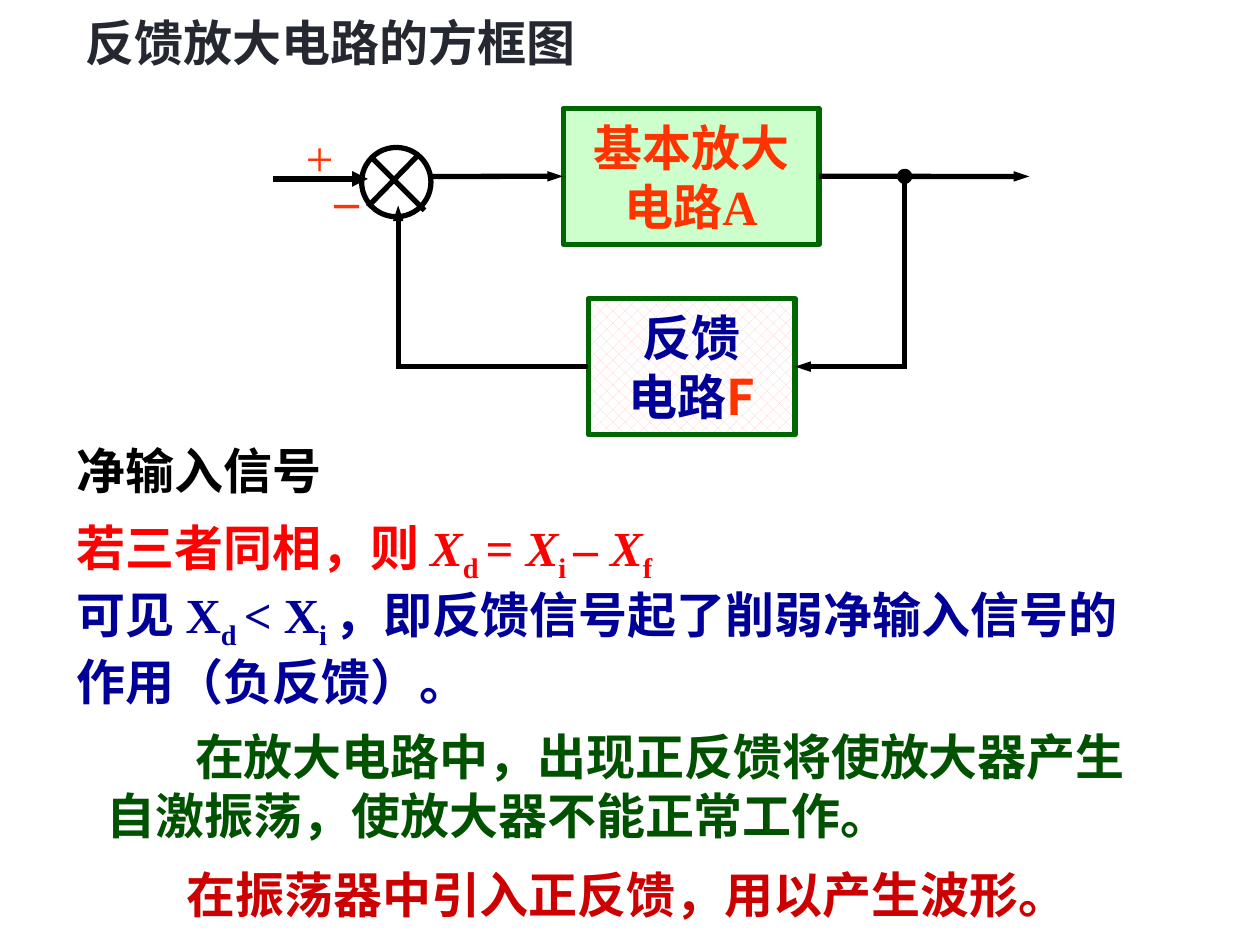
from lxml.etree import SubElement
from pptx import Presentation
from pptx.dml.color import RGBColor
from pptx.enum.dml import MSO_PATTERN
from pptx.enum.shapes import MSO_CONNECTOR, MSO_SHAPE
from pptx.enum.text import MSO_ANCHOR, PP_ALIGN
from pptx.oxml.ns import qn
from pptx.util import Inches, Pt

COLORS = {
    "title": "252731", "black": "000000", "red": "FF0000", "navy": "000099",
    "green": "005200", "crimson": "CC0000", "orange": "FF3300",
    "border": "006600", "mint": "CCFFCC", "pink": "FFCCCC", "white": "FFFFFF",
}
SERIF, SANS = "Times New Roman", "Noto Sans CJK SC"


def rgb(name):
    return RGBColor.from_string(COLORS[name])


class Board:
    """Style and current slide, with one method per kind of element."""

    size = Pt(28)
    stroke = Pt(3)

    def __init__(self, slide):
        self.slide = slide

    def style(self, paragraph, color, font=SERIF, bold=True, align=PP_ALIGN.LEFT):
        paragraph.alignment = align
        paragraph.space_before = Pt(0)
        paragraph.font.size = self.size
        paragraph.font.bold = bold
        paragraph.font.color.rgb = rgb(color)
        paragraph.font.name = font
        defaults = paragraph._p.pPr.find(qn("a:defRPr"))
        SubElement(defaults, qn("a:ea")).set("typeface", SANS)

    def title(self, text, left, top, width, height):
        heading = self.slide.shapes.title
        heading.left, heading.top = Inches(left), Inches(top)
        heading.width, heading.height = Inches(width), Inches(height)
        heading.text_frame.text = text
        heading.text_frame.vertical_anchor = MSO_ANCHOR.TOP
        self.style(heading.text_frame.paragraphs[0], "title")

    def text(self, parts, left, top, width, height, color, wrap=True, indent=0, **style):
        """Parts are (text, kind) pairs; kind is "", "italic" or "sub"."""
        box = self.slide.shapes.add_textbox(
            Inches(left), Inches(top), Inches(width), Inches(height))
        box.text_frame.word_wrap = wrap
        paragraph = box.text_frame.paragraphs[0]
        for words, kind in parts:
            run = paragraph.add_run()
            run.text = words
            if kind == "italic":
                run.font.italic = True
            elif kind == "sub":
                run._r.get_or_add_rPr().set("baseline", "-25000")
        if indent:
            paragraph._p.get_or_add_pPr().set("indent", str(Inches(indent)))
        self.style(paragraph, color, **style)

    def shape(self, preset, left, top, width, height, line, fill=None):
        shape = self.slide.shapes.add_shape(
            preset, Inches(left), Inches(top), Inches(width), Inches(height))
        shape.shadow.inherit = False
        shape.line.color.rgb = rgb(line)
        shape.line.width = self.stroke
        if fill:
            shape.fill.solid()
            shape.fill.fore_color.rgb = rgb(fill)
        else:
            shape.fill.background()
        return shape

    def block(self, lines, left, top, width, height, color, fill):
        block = self.shape(MSO_SHAPE.RECTANGLE, left, top, width, height, "border", fill)
        block.text_frame.text = "\n".join(lines)
        block.text_frame.vertical_anchor = MSO_ANCHOR.MIDDLE
        for paragraph in block.text_frame.paragraphs:
            self.style(paragraph, color, SANS, align=PP_ALIGN.CENTER)
        return block

    def wire(self, start, end, head=None):
        """Head is the width of the arrowhead at the end, or None."""
        wire = self.slide.shapes.add_connector(
            MSO_CONNECTOR.STRAIGHT, *map(Inches, start + end))
        wire.line.color.rgb = rgb("black")
        wire.line.width = self.stroke
        if head:
            tail = SubElement(wire.line._get_or_add_ln(), qn("a:tailEnd"))
            tail.set("type", "triangle")
            tail.set("w", head)
        SubElement(wire._element.spPr, qn("a:effectLst"))
        return wire


def draw_diagram(board):
    forward_y, return_y = 1.4, 2.91
    sum_x, tap_x = 3.16, 7.18

    amplifier = board.block(["基本放大", "电路A"], 4.47, forward_y - 0.54, 2.03, 1.08,
                            "orange", "mint")
    amplifier.text_frame.paragraphs[1].runs[0].text = "电路"
    gain = amplifier.text_frame.paragraphs[1].add_run()
    gain.text, gain.font.name = "A", SERIF

    feedback = board.block(["反馈", "电路"], 4.67, return_y - 0.54, 1.64, 1.08,
                           "navy", "white")
    feedback.fill.patterned()
    feedback.fill.pattern = MSO_PATTERN.PERCENT_30
    feedback.fill.fore_color.rgb = rgb("pink")
    feedback.fill.back_color.rgb = rgb("white")
    factor = feedback.text_frame.paragraphs[1].add_run()
    factor.text, factor.font.color.rgb = "F", rgb("orange")

    board.shape(MSO_SHAPE.OVAL, 2.87, 1.17, 0.55, 0.55, "black")
    board.wire((3.33, 1.22), (2.92, 1.64))
    board.wire((2.95, 1.25), (3.37, 1.67))
    board.shape(MSO_SHAPE.OVAL, tap_x - 0.04, forward_y - 0.04, 0.08, 0.08,
                "black", "title")

    board.wire((2.17, 1.42), (2.92, 1.42), "med")
    board.wire((3.42, forward_y), (4.47, forward_y), "sm").end_connect(amplifier, 1)
    board.wire((6.5, forward_y), (8.17, forward_y), "sm").begin_connect(amplifier, 3)
    board.wire((tap_x, forward_y), (tap_x, return_y))
    board.wire((tap_x + 0.02, return_y), (6.31, return_y), "sm").end_connect(feedback, 3)
    board.wire((4.67, return_y), (sum_x - 0.02, return_y)).begin_connect(feedback, 1)
    board.wire((sum_x, return_y), (sum_x, 1.63), "sm")

    board.text([("+", "")], 2.33, 0.96, 0.42, 0.57, "orange", wrap=False, bold=False)
    board.text([("–", "italic")], 2.56, 1.3, 1.02, 0.57, "orange")


def main():
    prs = Presentation()
    prs.slide_width, prs.slide_height = Inches(10), Inches(7.5)
    board = Board(prs.slides.add_slide(prs.slide_layouts[5]))

    board.title("反馈放大电路的方框图", 0.58, 0.05, 7.17, 0.57)
    draw_diagram(board)
    board.text([("净输入信号", "")], 0.51, 3.45, 2.77, 0.57, "black")
    board.text([("若三者同相，则 ", ""), ("X", "italic"), ("d ", "sub"), ("= ", ""),
                ("X", "italic"), ("i ", "sub"), ("– ", ""), ("X", "italic"), ("f", "sub")],
               0.51, 4.06, 6.14, 0.57, "red")
    board.text([("可见 X", ""), ("d ", "sub"), ("< X", ""), ("i ", "sub"),
                ("，即反馈信号起了削弱净输入信号的作用（负反馈）。", "")],
               0.51, 4.59, 8.5, 1.05, "navy")
    board.text([("在放大电路中，出现正反馈将使放大器产生自激振荡，使放大器不能正常工作。", "")],
               0.75, 5.72, 8.56, 1.03, "green", indent=0.7)
    board.text([("在振荡器中引入正反馈，用以产生波形。", "")],
               1.36, 6.81, 7.23, 0.57, "crimson", wrap=False, align=PP_ALIGN.CENTER)

    prs.save("out.pptx")


if __name__ == "__main__":
    main()
